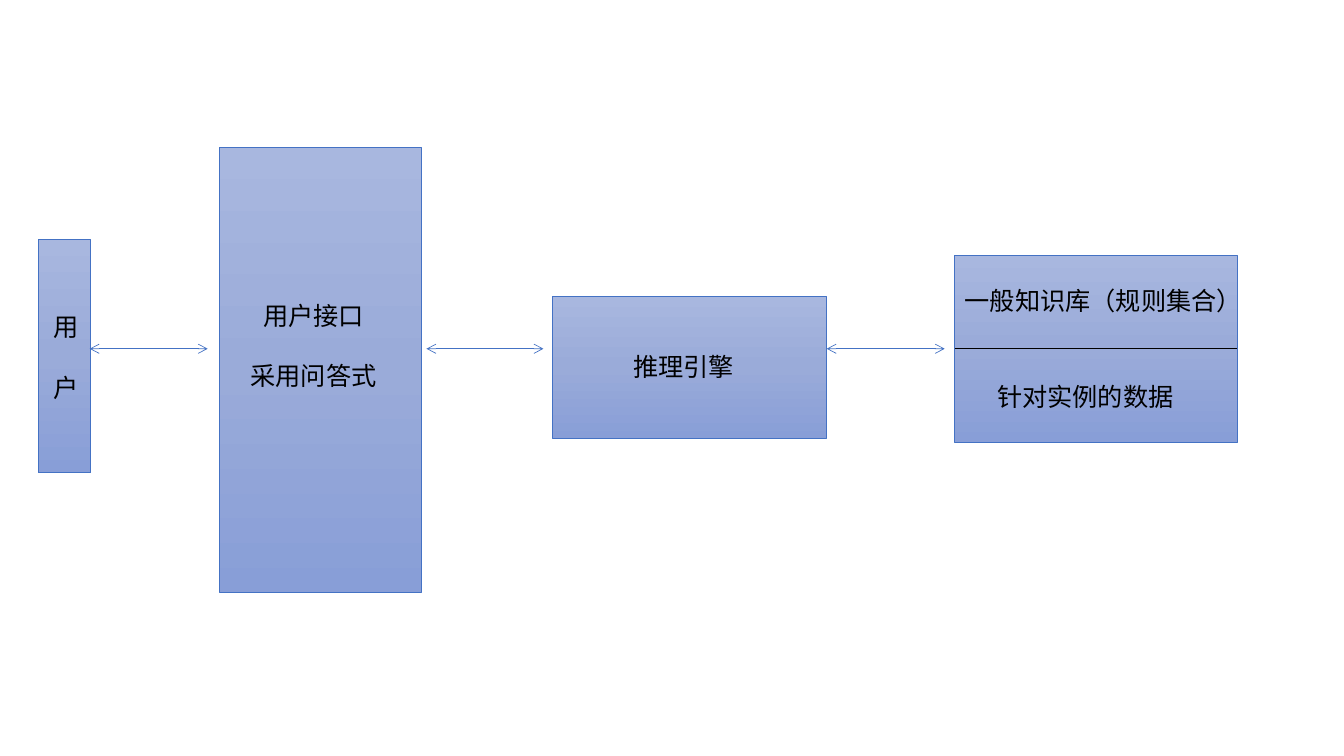
from copy import deepcopy

from lxml import etree
from pptx import Presentation
from pptx import util as u
from pptx.dml.color import RGBColor
from pptx.enum import shapes, text
from pptx.oxml import ns

BLUE = RGBColor(0x44, 0x72, 0xC4)
BLACK = RGBColor(0, 0, 0)
GRADIENT = [
    (0, RGBColor(0xA8, 0xB7, 0xDF)),
    (0.5, RGBColor(0x9A, 0xAB, 0xD9)),
    (1, RGBColor(0x88, 0x9E, 0xD7)),
]
FONT = "Noto Sans CJK SC"
AXIS = 3.46
LEFT, CENTER = text.PP_ALIGN.LEFT, text.PP_ALIGN.CENTER


def add_block(page, left, top, width, height):
    block = page.shapes.add_shape(
        shapes.MSO_SHAPE.RECTANGLE, *map(u.Inches, (left, top, width, height)))
    block.shadow.inherit = False
    block.fill.gradient()
    block.fill.gradient_angle = 270
    stops = block.fill._fill._gradFill.find(ns.qn("a:gsLst"))
    stops.insert(1, deepcopy(stops[0]))
    for stop, (position, color) in zip(block.fill.gradient_stops, GRADIENT):
        stop.position = position
        stop.color.rgb = color
    block.line.color.rgb = BLUE
    block.line.width = u.Pt(0.5)
    return block


def add_label(page, left, top, width, height, lines, align=LEFT):
    box = page.shapes.add_textbox(*map(u.Inches, (left, top, width, height)))
    frame = box.text_frame
    frame.word_wrap = True
    for index, line in enumerate(lines):
        para = frame.add_paragraph() if index else frame.paragraphs[0]
        para.text = line
        para.alignment = align
        para.font.name = FONT
        para.font.size = u.Pt(18)
        para.font.color.rgb = BLACK
        if index:
            para.space_before = u.Pt(21.6)


def add_line(page, start, end, color):
    line = page.shapes.add_connector(
        shapes.MSO_CONNECTOR.STRAIGHT,
        u.Inches(start), u.Inches(AXIS), u.Inches(end), u.Inches(AXIS))
    line.line.color.rgb = color
    line.line.width = u.Pt(0.5)
    etree.SubElement(line._element.spPr, ns.qn("a:effectLst"))
    return line


def add_arrow(page, start, end):
    arrow = add_line(page, start, end, BLUE)
    outline = arrow.line._get_or_add_ln()
    for tag in ("a:headEnd", "a:tailEnd"):
        etree.SubElement(outline, ns.qn(tag), type="arrow")


def add_user(page, left, top, width, height):
    add_block(page, left, top, width, height)
    add_label(page, left + 0.05, top + 0.67, width, 1.01, ["用", "户"])


def add_interface(page, left, top, width, height):
    add_block(page, left, top, width, height)
    add_label(page, left - 0.07, top + 1.47, width, 1.01,
              ["用户接口", "采用问答式"], CENTER)


def add_engine(page, left, top, width, height):
    add_block(page, left, top, width, height)
    add_label(page, left - 0.06, top + 0.5, width, 0.4, ["推理引擎"], CENTER)


def add_knowledge(page, left, top, width, height):
    block = add_block(page, left, top, width, height)
    divider = add_line(page, left, left + width, BLACK)
    divider.begin_connect(block, 1)
    divider.end_connect(block, 3)
    add_label(page, left, top + 0.25, width + 0.2, 0.4, ["一般知识库（规则集合）"])
    add_label(page, left + 0.32, top + 1.2, width - 0.32, 0.4, ["针对实例的数据"])


def main():
    deck = Presentation()
    deck.slide_width, deck.slide_height = u.Inches(13.33), u.Inches(7.5)
    page = deck.slides.add_slide(deck.slide_layouts[6])
    add_user(page, 0.38, 2.37, 0.52, 2.32)
    add_interface(page, 2.18, 1.46, 2, 4.42)
    add_engine(page, 5.48, 2.94, 2.72, 1.41)
    add_knowledge(page, 9.47, 2.53, 2.8, 1.86)
    for start, end in ((0.89, 2.06), (4.23, 5.39), (8.2, 9.37)):
        add_arrow(page, start, end)
    deck.save("out.pptx")


if __name__ == "__main__":
    main()
